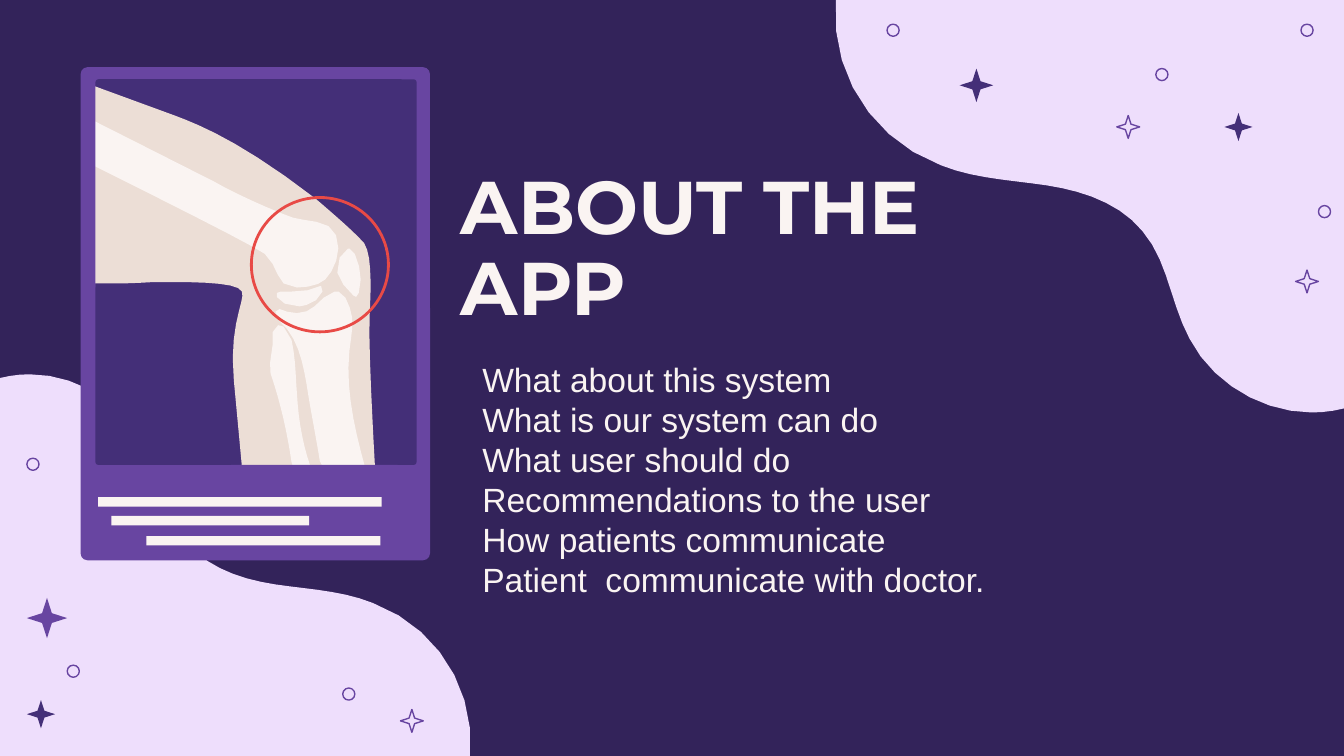
from math import dist

from pptx import Presentation
from pptx.dml.color import RGBColor
from pptx.enum.shapes import MSO_SHAPE
from pptx.enum.text import MSO_ANCHOR, MSO_AUTO_SIZE, PP_ALIGN
from pptx.util import Cm, Pt

NIGHT, INDIGO, PURPLE = "33235A", "442F78", "6845A1"
LILAC, CREAM, SKIN, RED = "EEDEFC", "FAF4F2", "ECDED6", "E84A46"

TITLE = "ABOUT THE APP"
TOPICS = [
    "What about this system",
    "What is our system can do",
    "What user should do",
    "Recommendations to the user",
    "How patients communicate",
    "Patient  communicate with doctor.",
]

CORNER_BLOB = [
    (6.22, 0), (6.17, 0.54, 6.49, 1.04, 7, 1.23),
    (7.25, 1.33, 7.52, 1.34, 7.79, 1.38), (8.05, 1.42, 8.33, 1.51, 8.5, 1.72),
    (8.69, 1.94, 8.71, 2.26, 8.85, 2.52), (9.02, 2.85, 9.39, 3.07, 9.76, 3.07),
    (9.84, 3.07, 9.92, 3.06, 10, 3.04), (10, 0),
]
LEG = [
    (0.7, 0.64), (0.69, 0.71), (0.7, 2.11), (0.8, 2.11),
    (0.88, 2.11, 0.99, 2.11, 1.13, 2.1), (1.31, 2.1),
    (1.54, 2.1, 1.78, 2.11, 1.8, 2.17), (1.83, 2.23, 1.7, 2.41, 1.74, 2.83),
    (1.8, 3.47), (2.79, 3.47),
    (2.79, 3.47, 2.74, 2.6, 2.75, 2.37), (2.76, 2.15, 2.77, 1.9, 2.71, 1.81),
    (2.64, 1.73, 2.49, 1.6, 2.35, 1.48), (1.78, 1.04, 1.46, 0.92, 1.3, 0.86),
]
FEMUR = [
    (0.7, 0.9), (0.69, 1.23), (0.69, 1.23, 1.9, 1.83, 1.97, 1.89),
    (2.05, 1.96, 2.05, 2.05, 2.11, 2.11), (2.13, 2.13, 2.17, 2.14, 2.21, 2.14),
    (2.29, 2.14, 2.38, 2.12, 2.42, 2.08), (2.48, 2.02, 2.55, 1.88, 2.5, 1.75),
    (2.46, 1.63, 2.26, 1.65, 2.18, 1.62), (2.09, 1.59, 1.78, 1.46, 1.59, 1.35),
]
MENISCUS = [
    (2.38, 2.13), (2.35, 2.13, 2.31, 2.15, 2.29, 2.16),
    (2.25, 2.17, 2.21, 2.17, 2.17, 2.17), (2.09, 2.17), (2.06, 2.18),
    (2.05, 2.19, 2.05, 2.2, 2.06, 2.21), (2.06, 2.23, 2.09, 2.25, 2.12, 2.26),
    (2.15, 2.27, 2.19, 2.28, 2.23, 2.28), (2.28, 2.27),
    (2.33, 2.26, 2.38, 2.22, 2.4, 2.17), (2.41, 2.14, 2.4, 2.13, 2.39, 2.13),
]
TIBIA = [
    (2.49, 2.17), (2.43, 2.17, 2.39, 2.25, 2.34, 2.28),
    (2.31, 2.31, 2.26, 2.33, 2.21, 2.33), (2.14, 2.32), (2.08, 2.3),
    (2.05, 2.32), (2.04, 2.35, 2.06, 2.37, 2.08, 2.39),
    (2.21, 2.5, 2.25, 2.68, 2.28, 2.85), (2.31, 3.05, 2.35, 3.24, 2.38, 3.43),
    (2.41, 3.49), (2.72, 3.49), (2.64, 3.2, 2.57, 2.9, 2.6, 2.61),
    (2.61, 2.52, 2.63, 2.44, 2.62, 2.36), (2.61, 2.3, 2.58, 2.19, 2.52, 2.17),
]
KNEECAP = [
    (2.59, 1.85), (2.54, 1.85, 2.5, 1.97, 2.51, 2.03),
    (2.53, 2.09, 2.57, 2.15, 2.63, 2.2), (2.65, 2.21), (2.67, 2.18),
    (2.7, 2.08, 2.68, 1.98, 2.64, 1.89), (2.63, 1.86, 2.61, 1.85, 2.6, 1.85),
]
FIBULA = [
    (2.07, 2.42), (2.06, 2.42, 2.04, 2.43, 2.03, 2.47), (2.03, 2.56),
    (2.01, 2.7), (2, 2.75, 2.02, 2.81, 2.04, 2.86),
    (2.1, 3.05, 2.14, 3.24, 2.17, 3.44), (2.18, 3.47), (2.31, 3.47),
    (2.25, 3.3, 2.22, 3.11, 2.21, 2.93), (2.2, 2.8, 2.2, 2.66, 2.17, 2.53),
    (2.16, 2.5, 2.14, 2.46, 2.11, 2.43),
]
BONES = [FEMUR, MENISCUS, TIBIA, KNEECAP, FIBULA]

RINGS = [(0.2, 3.41), (0.5, 4.95), (2.55, 5.12), (9.68, 0.18),
         (6.6, 0.18), (9.81, 1.53), (8.6, 0.51)]
OPEN_STARS = [(2.98, 5.28), (8.31, 0.86), (9.64, 2.01)]
SOLID_STARS = [(0.2, 4.45, 0.3, PURPLE), (0.2, 5.21, 0.21, INDIGO),
               (7.14, 0.51, 0.25, INDIGO), (9.11, 0.84, 0.21, INDIGO)]
CAPTION_BARS = [(0.73, 3.7, 2.11), (0.83, 3.84, 1.47), (1.09, 3.99, 1.74)]
FRAME_EDGES = [(0.63, 0.64, 0.08, 1.5), (1.72, 3.46, 1.24, 0.11)]

BLOB_SCALE = 0.925
STEPS_PER_INCH, MOST_STEPS = 12, 7


def inch(value):
    return Cm(value * 2.54)


def colour(hex_code):
    return RGBColor.from_string(hex_code)


def paint(shape, fill=None, line=None, width=0.75):
    shape.shadow.inherit = False
    if fill:
        shape.fill.solid()
        shape.fill.fore_color.rgb = colour(fill)
    else:
        shape.fill.background()
    if line:
        shape.line.color.rgb = colour(line)
        shape.line.width = Pt(width)
    else:
        shape.line.fill.background()


def preset(kind, box, adjustment=None, **look):
    shape = slide.shapes.add_shape(kind, *map(inch, box))
    if adjustment is not None:
        shape.adjustments[0] = adjustment
    paint(shape, **look)


def trace(outline):
    points = [outline[0]]
    for segment in outline[1:]:
        if len(segment) == 2:
            points.append(segment)
            continue
        (x0, y0), (x1, y1, x2, y2, x3, y3) = points[-1], segment
        length = dist((x0, y0), (x3, y3))
        steps = min(MOST_STEPS, max(1, round(length * STEPS_PER_INCH)))
        for step in range(1, steps + 1):
            t = step / steps
            a, b, c, d = (1 - t) ** 3, 3 * t * (1 - t) ** 2, 3 * t * t * (1 - t), t ** 3
            points.append((a * x0 + b * x1 + c * x2 + d * x3,
                           a * y0 + b * y1 + c * y2 + d * y3))
    return points


def draw_outline(points, fill):
    corners = [(inch(x), inch(y)) for x, y in points]
    builder = slide.shapes.build_freeform(*corners[0], scale=1.0)
    builder.add_line_segments(corners[1:], close=True)
    paint(builder.convert_to_shape(), fill=fill)


def write(paragraph, text, font_name, size, bold=False):
    run = paragraph.add_run()
    run.text = text
    run.font.name = font_name
    run.font.size = Pt(size)
    run.font.bold = bold
    run.font.color.rgb = colour(CREAM)


deck = Presentation()
deck.slide_width, deck.slide_height = Cm(25.4), Cm(14.29)
slide = deck.slides.add_slide(deck.slide_layouts[5])
slide.background.fill.solid()
slide.background.fill.fore_color.rgb = colour(NIGHT)

top_blob = trace(CORNER_BLOB)
bottom_blob = [((10 - x) * BLOB_SCALE, 5.625 - y * BLOB_SCALE) for x, y in top_blob]
for blob in (bottom_blob, top_blob):
    draw_outline(blob, LILAC)
for left, top in RINGS:
    preset(MSO_SHAPE.OVAL, (left, top, 0.09, 0.09), line=PURPLE)
for left, top in OPEN_STARS:
    preset(MSO_SHAPE.STAR_4_POINT, (left, top, 0.17, 0.17), 0.172, line=PURPLE)
for left, top, size, shade in SOLID_STARS:
    preset(MSO_SHAPE.STAR_4_POINT, (left, top, size, size), 0.172, fill=shade)

preset(MSO_SHAPE.ROUNDED_RECTANGLE, (0.6, 0.5, 2.6, 3.67), 0.02, fill=PURPLE)
preset(MSO_SHAPE.ROUNDED_RECTANGLE, (0.71, 0.59, 2.39, 2.87), 0.01, fill=INDIGO)
for left, top, width in CAPTION_BARS:
    preset(MSO_SHAPE.RECTANGLE, (left, top, width, 0.07), fill=CREAM)
draw_outline(trace(LEG), SKIN)
for bone in BONES:
    draw_outline(trace(bone), CREAM)
for edge in FRAME_EDGES:
    preset(MSO_SHAPE.RECTANGLE, edge, fill=PURPLE)
preset(MSO_SHAPE.OVAL, (1.87, 1.47, 1.02, 1), line=RED, width=1.5)

title = slide.shapes.title
title.left, title.top, title.width, title.height = map(inch, (3.33, 0.9, 4.9, 1.93))
heading = title.text_frame
heading.word_wrap = True
heading.auto_size = MSO_AUTO_SIZE.NONE
heading.vertical_anchor = MSO_ANCHOR.MIDDLE
heading.margin_left = heading.margin_right = inch(0.1)
heading.margin_top = heading.margin_bottom = inch(0.1)
heading.paragraphs[0].alignment = PP_ALIGN.LEFT
heading.paragraphs[0].line_spacing = 0.9
write(heading.paragraphs[0], TITLE, "Montserrat", 40, bold=True)

agenda = slide.shapes.add_textbox(*map(inch, (3.49, 2.62, 4.08, 2.22))).text_frame
agenda.word_wrap = True
for index, topic in enumerate(TOPICS):
    paragraph = agenda.add_paragraph() if index else agenda.paragraphs[0]
    paragraph.line_spacing = Pt(21.5)
    write(paragraph, topic, "Arial", 18)

deck.save("out.pptx")
